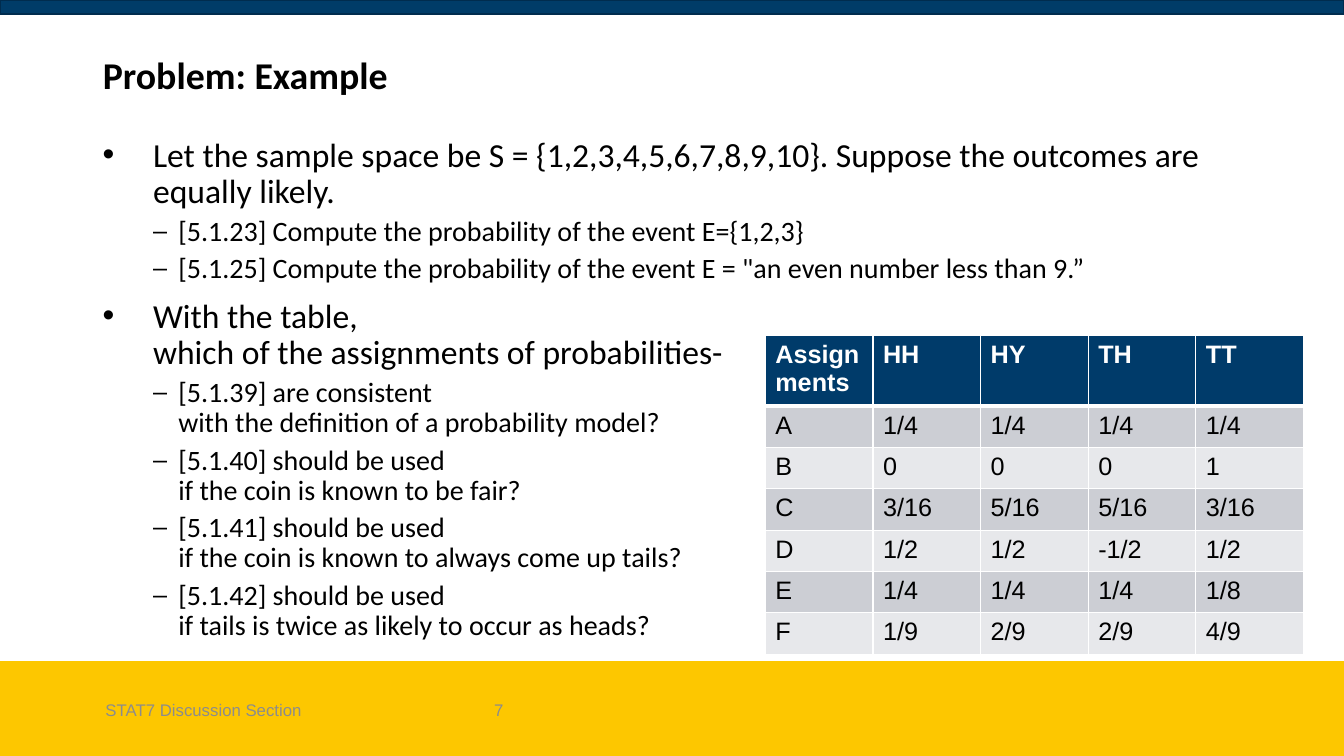
from dataclasses import dataclass

from lxml.etree import SubElement
from pptx import Presentation
from pptx.dml.color import RGBColor
from pptx.enum.shapes import MSO_SHAPE
from pptx.enum.text import MSO_ANCHOR, MSO_AUTO_SIZE, PP_ALIGN
from pptx.oxml.ns import qn
from pptx.util import Inches, Pt


@dataclass(frozen=True)
class Theme:
    heading_font: str = "Calibri"
    plain_font: str = "Arial"
    ink: str = "000000"
    white: str = "FFFFFF"
    muted: str = "8C8C8C"
    gold: str = "FDC700"
    navy: str = "003C68"
    navy_edge: str = "002C4E"
    table_header: str = "003B6A"
    table_bands: tuple = ("CCCED4", "E7E8EB")
    title_size: int = 27
    level_sizes: tuple = (24, 20)
    table_size: int = 18
    footer_size: int = 12


@dataclass(frozen=True)
class BulletLevel:
    mark: str
    percent: int
    indent: float
    hanging: float
    space_before: int


BULLET_LEVELS = (
    BulletLevel("•", 100, 0.5, 0.5, 10),
    BulletLevel("–", 90, 0.75, 0.25, 5),
)

PROBLEMS = [
    (0, "Let the sample space be S = {1,2,3,4,5,6,7,8,9,10}. "
        "Suppose the outcomes are equally likely."),
    (1, "[5.1.23] Compute the probability of the event E={1,2,3}"),
    (1, "[5.1.25] Compute the probability of the event E = \"an even number less than 9.”"),
    (0, "With the table, \nwhich of the assignments of probabilities-"),
    (1, "[5.1.39] are consistent \nwith the definition of a probability model?"),
    (1, "[5.1.40] should be used \nif the coin is known to be fair?"),
    (1, "[5.1.41] should be used \nif the coin is known to always come up tails?"),
    (1, "[5.1.42] should be used \nif tails is twice as likely to occur as heads?"),
]

ASSIGNMENTS = [
    ("Assignments", "HH", "HY", "TH", "TT"),
    ("A", "1/4", "1/4", "1/4", "1/4"),
    ("B", "0", "0", "0", "1"),
    ("C", "3/16", "5/16", "5/16", "3/16"),
    ("D", "1/2", "1/2", "-1/2", "1/2"),
    ("E", "1/4", "1/4", "1/4", "1/8"),
    ("F", "1/9", "2/9", "2/9", "4/9"),
]


def rgb(code):
    return RGBColor.from_string(code)


class SlideBuilder:
    def __init__(self, slide, theme):
        self.slide = slide
        self.theme = theme

    def style_runs(self, paragraph, font, size, color, bold=False):
        for run in paragraph.runs:
            run.font.name = font
            run.font.size = Pt(size)
            run.font.color.rgb = rgb(color)
            run.font.bold = bold

    def band(self, top, height, fill, edge=None):
        """Draw a bar across the full slide width."""
        bar = self.slide.shapes.add_shape(
            MSO_SHAPE.RECTANGLE, 0, Inches(top), Inches(13.33), Inches(height))
        bar.shadow.inherit = False
        bar.fill.solid()
        bar.fill.fore_color.rgb = rgb(fill)
        if edge:
            bar.line.color.rgb = rgb(edge)
            bar.line.width = Pt(1)
        else:
            bar.line.fill.background()

    def title(self, text, left, top, width, height):
        heading = self.slide.shapes.title
        heading.left, heading.top = Inches(left), Inches(top)
        heading.width, heading.height = Inches(width), Inches(height)
        frame = heading.text_frame
        frame.text = text
        frame.auto_size = MSO_AUTO_SIZE.NONE
        frame.vertical_anchor = MSO_ANCHOR.MIDDLE
        line = frame.paragraphs[0]
        line.alignment = PP_ALIGN.LEFT
        line.line_spacing = 0.9
        self.style_runs(line, self.theme.heading_font, self.theme.title_size,
                        self.theme.ink, bold=True)

    def text_frame(self, left, top, width, height):
        box = self.slide.shapes.add_textbox(
            Inches(left), Inches(top), Inches(width), Inches(height))
        box.text_frame.word_wrap = True
        return box.text_frame

    def footer(self, text, left, width, alignment):
        frame = self.text_frame(left, 6.84, width, 0.4)
        frame.vertical_anchor = MSO_ANCHOR.MIDDLE
        frame.text = text
        line = frame.paragraphs[0]
        line.alignment = alignment
        self.style_runs(line, self.theme.plain_font, self.theme.footer_size, self.theme.muted)

    def bullets(self, items, left, top, width, height):
        frame = self.text_frame(left, top, width, height)
        for index, (level, text) in enumerate(items):
            item = frame.add_paragraph() if index else frame.paragraphs[0]
            item.text = text
            item.level = level
            item.line_spacing = 0.9
            item.space_before = Pt(BULLET_LEVELS[level].space_before)
            self.mark(item, BULLET_LEVELS[level])
            self.style_runs(item, self.theme.heading_font,
                            self.theme.level_sizes[level], self.theme.ink)

    def mark(self, paragraph, bullet):
        """Give a paragraph its bullet character and hanging indent."""
        properties = paragraph._p.get_or_add_pPr()
        properties.set("marL", str(Inches(bullet.indent)))
        properties.set("indent", str(-Inches(bullet.hanging)))
        SubElement(properties, qn("a:buSzPct"), val=str(bullet.percent * 1000))
        SubElement(properties, qn("a:buFont"), typeface=self.theme.plain_font)
        SubElement(properties, qn("a:buChar"), char=bullet.mark)

    def table(self, rows, left, top, width, height, row_height):
        holder = self.slide.shapes.add_table(
            len(rows), len(rows[0]), Inches(left), Inches(top), Inches(width), Inches(height))
        grid = holder.table
        for row_index, values in enumerate(rows):
            grid.rows[row_index].height = Inches(row_height)
            for column_index, value in enumerate(values):
                self.cell(grid.cell(row_index, column_index), value, row_index)
        holder.height = Inches(height)

    def cell(self, cell, value, row_index):
        is_header = row_index == 0
        cell.text = value
        self.borders(cell, top=3 if row_index == 1 else 1, bottom=3 if is_header else 1)
        bands = self.theme.table_bands
        fill = self.theme.table_header if is_header else bands[(row_index - 1) % len(bands)]
        cell.fill.solid()
        cell.fill.fore_color.rgb = rgb(fill)
        self.style_runs(cell.text_frame.paragraphs[0], self.theme.plain_font,
                        self.theme.table_size,
                        self.theme.white if is_header else self.theme.ink, bold=is_header)

    def borders(self, cell, top, bottom):
        properties = cell._tc.get_or_add_tcPr()
        for side, width in (("L", 1), ("R", 1), ("T", top), ("B", bottom)):
            edge = SubElement(properties, qn(f"a:ln{side}"), w=str(Pt(width)))
            paint = SubElement(edge, qn("a:solidFill"))
            SubElement(paint, qn("a:srgbClr"), val=self.theme.white)


def main():
    deck = Presentation()
    deck.slide_width, deck.slide_height = Inches(13.33), Inches(7.5)
    title_only = deck.slide_layouts[5]
    theme = Theme()
    page = SlideBuilder(deck.slides.add_slide(title_only), theme)

    page.band(6.56, 0.94, theme.gold)
    page.band(0, 0.14, theme.navy, edge=theme.navy_edge)
    page.bullets(PROBLEMS, 0.92, 1.32, 11.5, 5.14)
    page.title("Problem: Example", 0.92, 0.4, 11.5, 0.74)
    page.footer("STAT7 Discussion Section", 0.91, 2.22, PP_ALIGN.CENTER)
    page.footer("7", 4.54, 0.55, PP_ALIGN.RIGHT)
    page.table(ASSIGNMENTS, 7.59, 3.33, 5.34, 3.13, row_height=0.41)

    deck.save("out.pptx")


if __name__ == "__main__":
    main()
